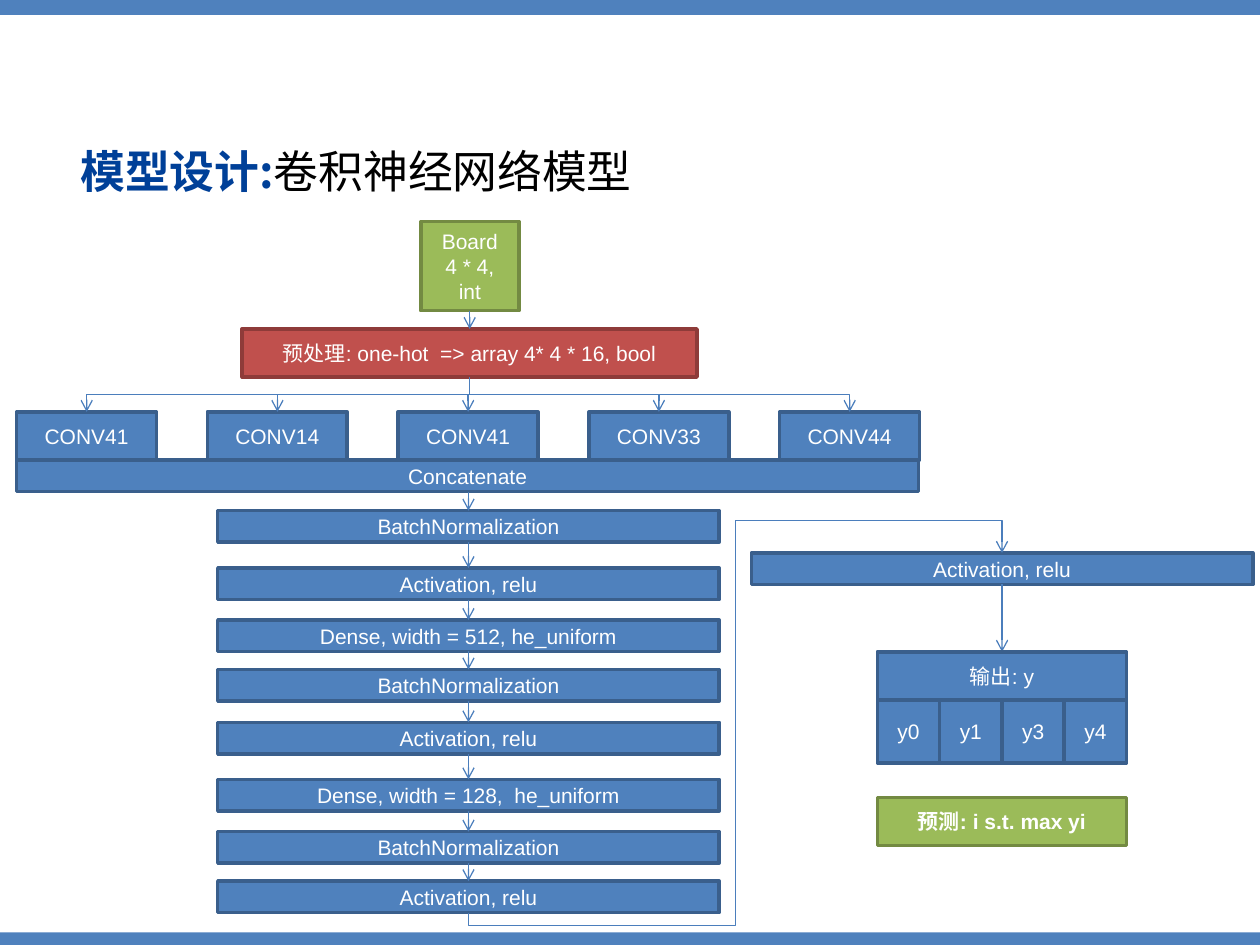
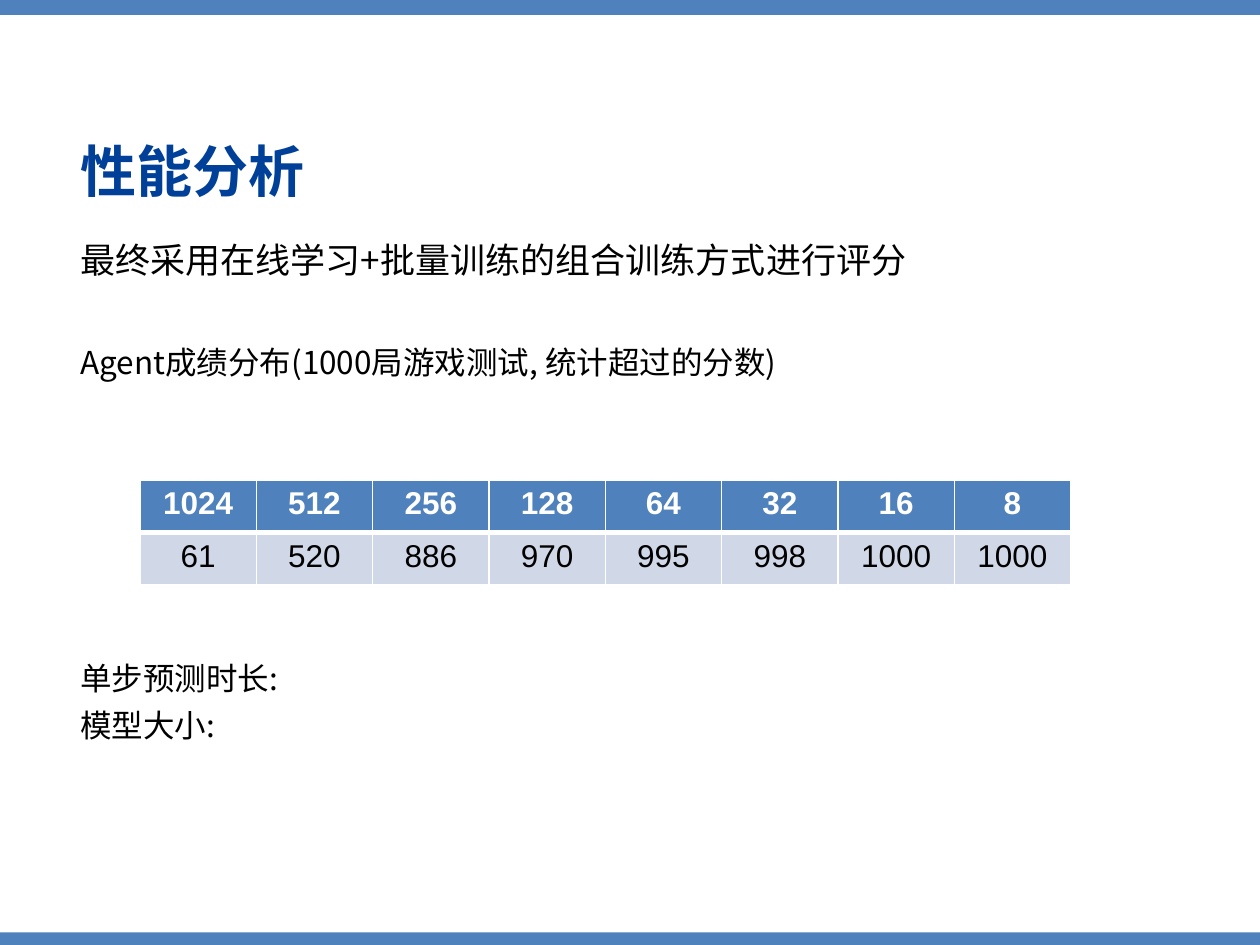
from lxml import etree
from pptx import Presentation
from pptx.dml.color import RGBColor
from pptx.enum.shapes import MSO_CONNECTOR, MSO_SHAPE
from pptx.enum.text import MSO_ANCHOR, PP_ALIGN
from pptx.oxml.ns import qn
from pptx.util import Pt

RECT = MSO_SHAPE.RECTANGLE
STRAIGHT, ELBOW = MSO_CONNECTOR.STRAIGHT, MSO_CONNECTOR.ELBOW
MIDDLE, TOP = MSO_ANCHOR.MIDDLE, MSO_ANCHOR.TOP
LEFT, CENTER = PP_ALIGN.LEFT, PP_ALIGN.CENTER

WIDTH, HEIGHT = 720, 540
LATIN, CJK = "Arial", "Noto Sans CJK SC"
NAVY, BLACK, WHITE = "004098", "000000", "FFFFFF"
BLUE, PALE, WIRE = "4F81BD", "D0D8E8", "4B7EBC"
BLUE_BOX = (BLUE, "3A5F8C")
GREEN_BOX = ("9BBB59", "738A42")
RED_BOX = ("C0504D", "8E3B39")


def rgb(value):
    return RGBColor.from_string(value)


def sub(parent, tag, **attrs):
    return etree.SubElement(parent, qn(tag), attrs)


class Deck:
    def __init__(self):
        self.prs = Presentation()
        self.prs.slide_width, self.prs.slide_height = Pt(WIDTH), Pt(HEIGHT)
        self.s = None

    def slide(self):
        self.s = self.prs.slides.add_slide(self.prs.slide_layouts[6])
        self.rect(0, 532.8, WIDTH, 7.2, BLUE)
        self.rect(0, 0, WIDTH, 8.5, BLUE)

    def font(self, font, size, color, name=LATIN, bold=False):
        font.size, font.bold, font.name = Pt(size), bold, name
        font.color.rgb = rgb(color)
        latin = font._element.find(qn("a:latin"))
        ea = etree.Element(qn("a:ea"), typeface=CJK)
        latin.addnext(ea)

    def rect(self, x, y, w, h, fill, line=None):
        sp = self.s.shapes.add_shape(RECT, Pt(x), Pt(y), Pt(w), Pt(h))
        sp.shadow.inherit = False
        sp.fill.solid()
        sp.fill.fore_color.rgb = rgb(fill)
        if line:
            sp.line.color.rgb = rgb(line)
            sp.line.width = Pt(2)
        else:
            sp.line.fill.background()
        return sp

    def box(self, x, y, w, h, text, style=BLUE_BOX, bold=False):
        tf = self.rect(x, y, w, h, *style).text_frame
        tf.word_wrap, tf.vertical_anchor = True, MIDDLE
        tf.text = text
        for p in tf.paragraphs:
            p.alignment = CENTER
            self.font(p.font, 12, WHITE, bold=bold)

    def textbox(self, x, y, w, h, anchor=TOP):
        sp = self.s.shapes.add_textbox(Pt(x), Pt(y), Pt(w), Pt(h))
        tf = sp.text_frame
        tf.word_wrap, tf.vertical_anchor = True, anchor
        return tf

    def title(self, size, head, tail=""):
        p = self.textbox(38.9, 77, 659.5, 45.4, MIDDLE).paragraphs[0]
        p.line_spacing = 0.9
        for text, color, bold in ((head, NAVY, True), (tail, BLACK, False)):
            if text:
                r = p.add_run()
                r.text = text
                self.font(r.font, size, color, CJK, bold)

    def body(self, lines):
        tf = self.textbox(38.9, 132.5, 659.5, 387.4)
        tf.text = "\n".join(text for text, size, before in lines)
        for p, (text, size, before) in zip(tf.paragraphs, lines):
            p.alignment, p.space_before, p.line_spacing = LEFT, Pt(before), 1.0
            self.font(p.font, size, BLACK, CJK)

    def connector(self, kind, x1, y1, x2, y2):
        c = self.s.shapes.add_connector(kind, Pt(x1), Pt(y1), Pt(x2), Pt(y2))
        c.line.color.rgb = rgb(WIRE)
        c.line.width = Pt(0.75)
        sub(c.line._get_or_add_ln(), "a:tailEnd", type="arrow")
        sub(c._element.spPr, "a:effectLst")
        return c

    def arrow(self, x1, y1, x2, y2):
        self.connector(STRAIGHT, x1, y1, x2, y2)

    def elbow(self, x1, y1, x2, y2, adjust=(50000,)):
        cx, cy = (x1 + x2) / 2, (y1 + y2) / 2
        dx, dy = (x2 - x1) / 2, (y2 - y1) / 2
        c = self.connector(ELBOW, cx - dy, cy + dx, cx + dy, cy - dx)
        spPr = c._element.spPr
        spPr.find(qn("a:xfrm")).set("rot", "5400000")
        geom = spPr.find(qn("a:prstGeom"))
        geom.set("prst", f"bentConnector{len(adjust) + 2}")
        for i, value in enumerate(adjust, 1):
            sub(geom.find(qn("a:avLst")), "a:gd", name=f"adj{i}", fmla=f"val {value}")

    def borders(self, cell, bottom):
        tcPr = cell._tc.get_or_add_tcPr()
        widths = {"a:lnL": 1, "a:lnR": 1, "a:lnT": 1, "a:lnB": bottom}
        for i, (tag, width) in enumerate(widths.items()):
            ln = etree.Element(qn(tag), w=str(Pt(width)))
            sub(sub(ln, "a:solidFill"), "a:srgbClr", val=WHITE)
            tcPr.insert(i, ln)

    def table(self, x, y, w, h, rows):
        n = len(rows[0])
        table = self.s.shapes.add_table(len(rows), n, Pt(x), Pt(y), Pt(w), Pt(h)).table
        for i, values in enumerate(rows):
            header = i == 0
            for j, value in enumerate(values):
                cell = table.cell(i, j)
                cell.fill.solid()
                cell.fill.fore_color.rgb = rgb(BLUE if header else PALE)
                self.borders(cell, 3 if header else 1)
                cell.text = value
                p = cell.text_frame.paragraphs[0]
                p.alignment = CENTER
                self.font(p.font, 18, WHITE if header else BLACK, bold=header)


def model_slide(deck):
    deck.slide()
    deck.title(25.6, "模型设计:", "卷积神经网络模型")

    axis = 268.4
    deck.box(240.5, 126.6, 56, 51, "Board\n4 * 4, int", GREEN_BOX)
    deck.box(138.4, 188, 260, 27.5, "预处理: one-hot  => array 4* 4 * 16, bool", RED_BOX)
    deck.arrow(axis, 177.6, axis, 188)

    conv_w, conv_y = 80, 235.4
    for i, name in enumerate(("CONV41", "CONV14", "CONV41", "CONV33", "CONV44")):
        x = 9.5 + 109 * i
        deck.box(x, conv_y, conv_w, 27.5, name)
        deck.elbow(axis, 215.5, x + conv_w / 2, conv_y)
    deck.box(9.5, 262.9, 515.5, 18, "Concatenate")

    layer_w, layer_h = 286.6, 18
    layer_x = 124.4
    layer_axis = layer_x + layer_w / 2
    layers = [
        (291.8, "BatchNormalization"),
        (324.6, "Activation, relu"),
        (354.3, "Dense, width = 512, he_uniform"),
        (382.6, "BatchNormalization"),
        (412.8, "Activation, relu"),
        (445.4, "Dense, width = 128,  he_uniform"),
        (475.2, "BatchNormalization"),
        (503.5, "Activation, relu"),
    ]
    bottom = 280.9
    for y, name in layers:
        deck.box(layer_x, y, layer_w, layer_h, name)
        deck.arrow(layer_axis, bottom, layer_axis, y)
        bottom = y + layer_h

    out_x, out_y, out_w = 501.4, 372.5, 142.4
    out_axis = out_x + out_w / 2
    relu_y = 316
    deck.box(out_axis - layer_w / 2, relu_y, layer_w, layer_h, "Activation, relu")
    deck.elbow(layer_axis, bottom, out_axis, relu_y, (-3600, 50000, 109100))
    deck.arrow(out_axis, relu_y + layer_h, out_axis, out_y)
    deck.box(out_x, out_y, out_w, 27.5, "输出: y")
    cell_w = out_w / 4
    for i, name in enumerate(("y0", "y1", "y3", "y4")):
        deck.box(out_x + cell_w * i, out_y + 27.5, cell_w, 36, name)
    deck.box(out_x, 455.6, out_w, 27.5, "预测: i s.t. max yi", GREEN_BOX, True)


def performance_slide(deck):
    deck.slide()
    deck.body([
        ("最终采用在线学习+批量训练的组合训练方式进行评分", 20, 10),
        ("Agent成绩分布(1000局游戏测试, 统计超过的分数)", 18, 36),
        ("单步预测时长:", 18, 159),
        ("模型大小:", 18, 5),
    ])
    deck.title(32, "性能分析")
    deck.table(80, 274.3, 532, 60, [
        ("1024", "512", "256", "128", "64", "32", "16", "8"),
        ("61", "520", "886", "970", "995", "998", "1000", "1000"),
    ])


deck = Deck()
model_slide(deck)
performance_slide(deck)
deck.prs.save("out.pptx")
